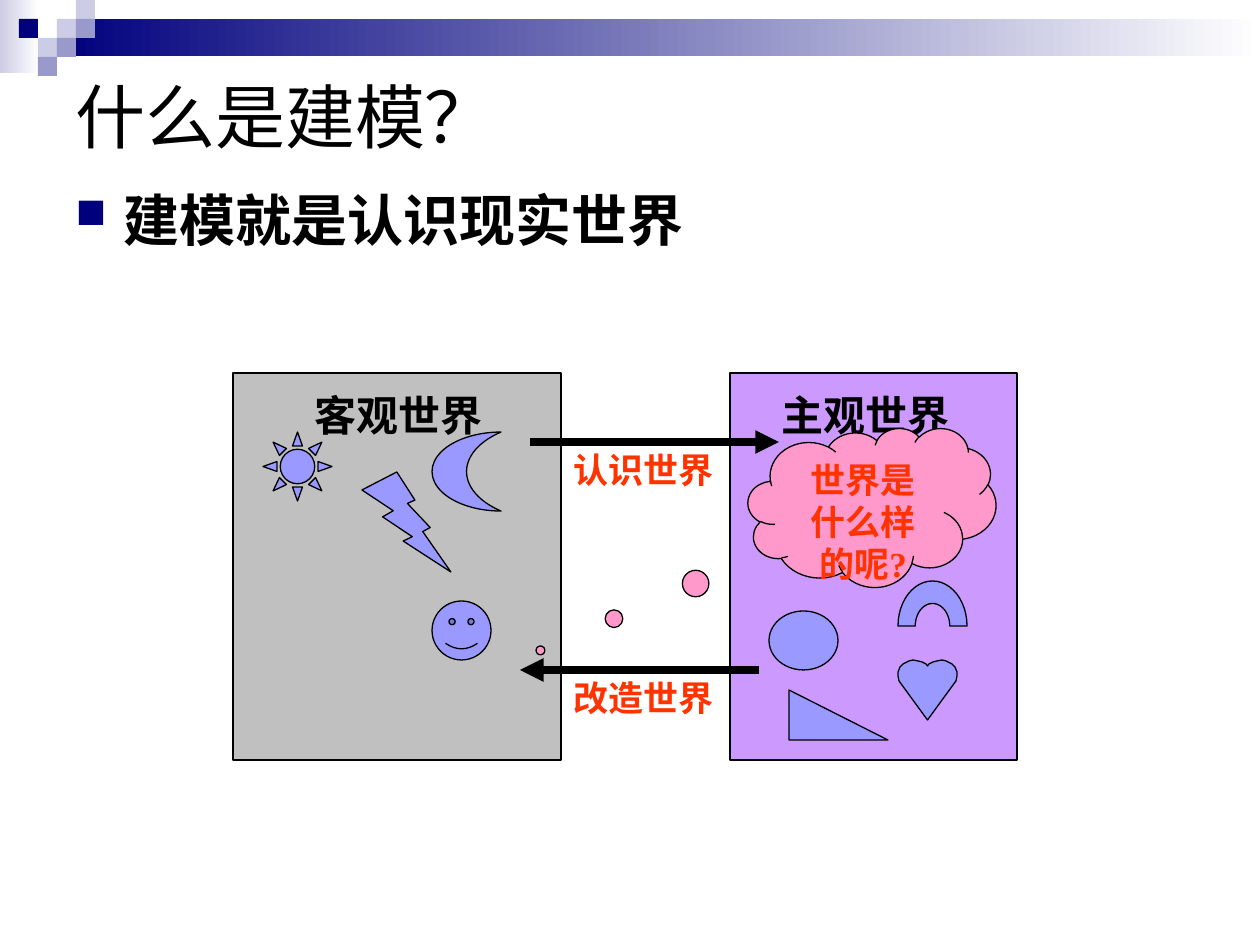
from math import cos, pi, sin

from lxml import etree
from pptx import Presentation
from pptx.dml.color import RGBColor
from pptx.enum.shapes import MSO_CONNECTOR, MSO_SHAPE
from pptx.enum.text import MSO_ANCHOR, PP_ALIGN
from pptx.oxml.ns import qn
from pptx.util import Emu, Pt

RECT, OVAL = MSO_SHAPE.RECTANGLE, MSO_SHAPE.OVAL
SUN, MOON, BOLT = MSO_SHAPE.SUN, MSO_SHAPE.MOON, MSO_SHAPE.LIGHTNING_BOLT
SMILE, WEDGE = MSO_SHAPE.SMILEY_FACE, MSO_SHAPE.RIGHT_TRIANGLE
CLOUD = MSO_SHAPE.CLOUD_CALLOUT
STRAIGHT = MSO_CONNECTOR.STRAIGHT
TOP, MIDDLE = MSO_ANCHOR.TOP, MSO_ANCHOR.MIDDLE
LEFT, CENTER = PP_ALIGN.LEFT, PP_ALIGN.CENTER

BLACK = RGBColor(0, 0, 0)
WHITE = RGBColor(0xFF, 0xFF, 0xFF)
NAVY = RGBColor(0x00, 0x00, 0x7D)
PALE = RGBColor(0xCC, 0xCC, 0xE6)
MAUVE = RGBColor(0x99, 0x99, 0xCC)
GRAY = RGBColor(0xC0, 0xC0, 0xC0)
PURPLE = RGBColor(0xCC, 0x99, 0xFF)
BLUE = RGBColor(0x99, 0x99, 0xFF)
PINK = RGBColor(0xFF, 0x99, 0xCC)
RED = RGBColor(0xFF, 0x33, 0x00)

SANS, SERIF = "Arial", "Times New Roman"
SCALE = 914400 / 126


def px(n):
    return Emu(round(n * SCALE))


def paint(shape, fill, line=BLACK):
    """Fill with one colour, or with a list of two as a gradient."""
    shape.shadow.inherit = False
    if isinstance(fill, list):
        shape.fill.gradient()
        shape.fill.gradient_angle = 0
        for stop, color in zip(shape.fill.gradient_stops, fill):
            stop.color.rgb = color
    else:
        shape.fill.solid()
        shape.fill.fore_color.rgb = fill
    if line is None:
        shape.line.fill.background()
    else:
        shape.line.color.rgb = line
        shape.line.width = Pt(0.75)
    return shape


def draw(slide, kind, x, y, w, h, fill, line=BLACK, adjust=()):
    shape = slide.shapes.add_shape(kind, px(x), px(y), px(w), px(h))
    for i, value in enumerate(adjust):
        shape.adjustments[i] = value
    return paint(shape, fill, line)


def trace(slide, x, y, points, fill):
    """Draw a closed outline whose points are relative to (x, y)."""
    spots = [(px(x + dx), px(y + dy)) for dx, dy in points]
    pen = slide.shapes.build_freeform(*spots[0], scale=1.0)
    pen.add_line_segments(spots[1:], close=True)
    return paint(pen.convert_to_shape(), fill)


def write(shape, text, size=20, font=SERIF, color=BLACK, bold=True,
          align=LEFT, anchor=TOP, bullet=False):
    frame = shape.text_frame
    frame.word_wrap = True
    frame.vertical_anchor = anchor
    para = frame.paragraphs[0]
    para.alignment = align
    if bullet:
        props = para._p.get_or_add_pPr()
        props.set("marL", str(px(48)))
        props.set("indent", str(-px(48)))
        tint = etree.SubElement(props, qn("a:buClr"))
        etree.SubElement(tint, qn("a:srgbClr"), val=str(NAVY))
        etree.SubElement(props, qn("a:buSzPct"), val="75000")
        etree.SubElement(props, qn("a:buChar"), char="■")
    run = para.add_run()
    run.text = text
    run.font.size, run.font.name, run.font.bold = Pt(size), font, bold
    run.font.color.rgb = color


def label(slide, text, x, y, w, h, **style):
    write(slide.shapes.add_textbox(px(x), px(y), px(w), px(h)), text, **style)


def banner(slide, x, y, w, unit):
    """Fading bar with a checker of small squares at its left end."""
    draw(slide, RECT, x, y, 39, 73, [PALE, WHITE], None)
    draw(slide, RECT, x + 3 * unit, y + unit, w - 3 * unit, 37, [NAVY, WHITE], None)
    tiles = [(3, 1, PALE), (4, 0, PALE), (4, 1, MAUVE), (2, 2, PALE),
             (1, 1, NAVY), (3, 2, MAUVE), (2, 3, MAUVE)]
    for col, row, color in tiles:
        draw(slide, RECT, x + col * unit, y + row * unit, unit, unit, color, None)


def heart(slide, x, y, w, h):
    mid = w / 2
    half = [(28, 4), (24, 2), (20, 1), (15, 0), (11, 1), (5, 4),
            (2, 7), (0, 12), (0, 16), (1, 21)]
    other = [(w - dx, dy) for dx, dy in reversed(half)]
    trace(slide, x, y, [(mid, 6), *half, (mid, h), *other], BLUE)


def arch(slide, x, y, w, h):
    def bow(rx, ry, steps):
        return [(w / 2 - rx * cos(pi * i / 24), h - ry * sin(pi * i / 24))
                for i in steps]

    outer = bow(w / 2, h, range(25))
    inner = bow(w / 4, h / 2, range(24, -1, -1))
    trace(slide, x, y, outer + inner, BLUE)


def outer_world(slide, x, y, w, h):
    draw(slide, RECT, x, y, w, h, GRAY)
    draw(slide, SUN, x + 30, y + 59, 69, 69, BLUE)
    draw(slide, MOON, x + 199, y + 59, 69, 79, BLUE)
    draw(slide, BOLT, x + 129, y + 99, 89, 100, BLUE)
    draw(slide, SMILE, x + 199, y + 228, 59, 59, BLUE)
    label(slide, "客观世界", x + 69, y + 10, 228, 63, size=24)


def inner_world(slide, x, y, w, h):
    draw(slide, RECT, x, y, w, h, PURPLE)
    draw(slide, OVAL, x + 39, y + 238, 69, 59, BLUE)
    draw(slide, WEDGE, x + 59, y + 317, 99, 50, BLUE)
    heart(slide, x + 168, y + 287, 59, 60)
    arch(slide, x + 168, y + 208, 69, 45)
    label(slide, "主观世界", x + 39, y + 10, 228, 63, size=24)


def link(slide, text, start, end, y, w):
    """Thick arrow at height y with a caption under it."""
    arrow = slide.shapes.add_connector(STRAIGHT, px(start), px(y), px(end), px(y))
    arrow.line.color.rgb = BLACK
    arrow.line.width = Pt(4.5)
    etree.SubElement(arrow.line._get_or_add_ln(), qn("a:tailEnd"), type="triangle")
    etree.SubElement(arrow._element.spPr, qn("a:effectLst"))
    label(slide, text, 561, y, w, 54, color=RED)


def thought(slide, x, y, w, h):
    cloud = draw(slide, CLOUD, x, y, w, h, PINK, adjust=(-1.337, 0.899))
    write(cloud, "世界是什么样的呢?", color=RED, align=CENTER)


def main():
    deck = Presentation()
    deck.slide_width, deck.slide_height = px(1260), px(945)
    slide = deck.slides.add_slide(deck.slide_layouts[6])
    banner(slide, 0, 0, 1260, 19)
    label(slide, "什么是建模？", 63, 63, 1134, 105, size=40, font=SANS,
          bold=False, anchor=MIDDLE)
    label(slide, "建模就是认识现实世界", 63, 179, 1134, 598, size=32,
          font=SANS, bullet=True)
    outer_world(slide, 233, 373, 328, 387)
    inner_world(slide, 730, 373, 287, 387)
    link(slide, "认识世界", 530, 779, 442, 179)
    link(slide, "改造世界", 759, 520, 670, 238)
    thought(slide, 748, 428, 248, 159)
    deck.save("out.pptx")


if __name__ == "__main__":
    main()
